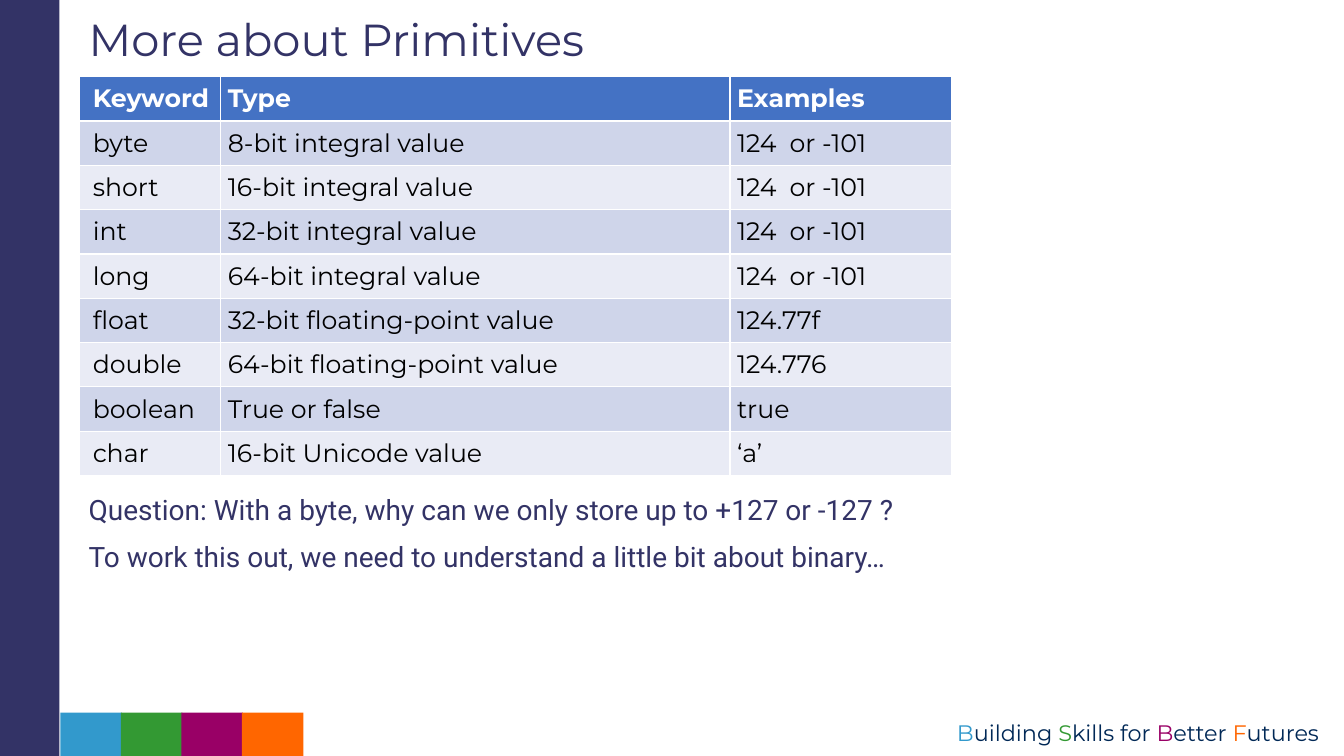
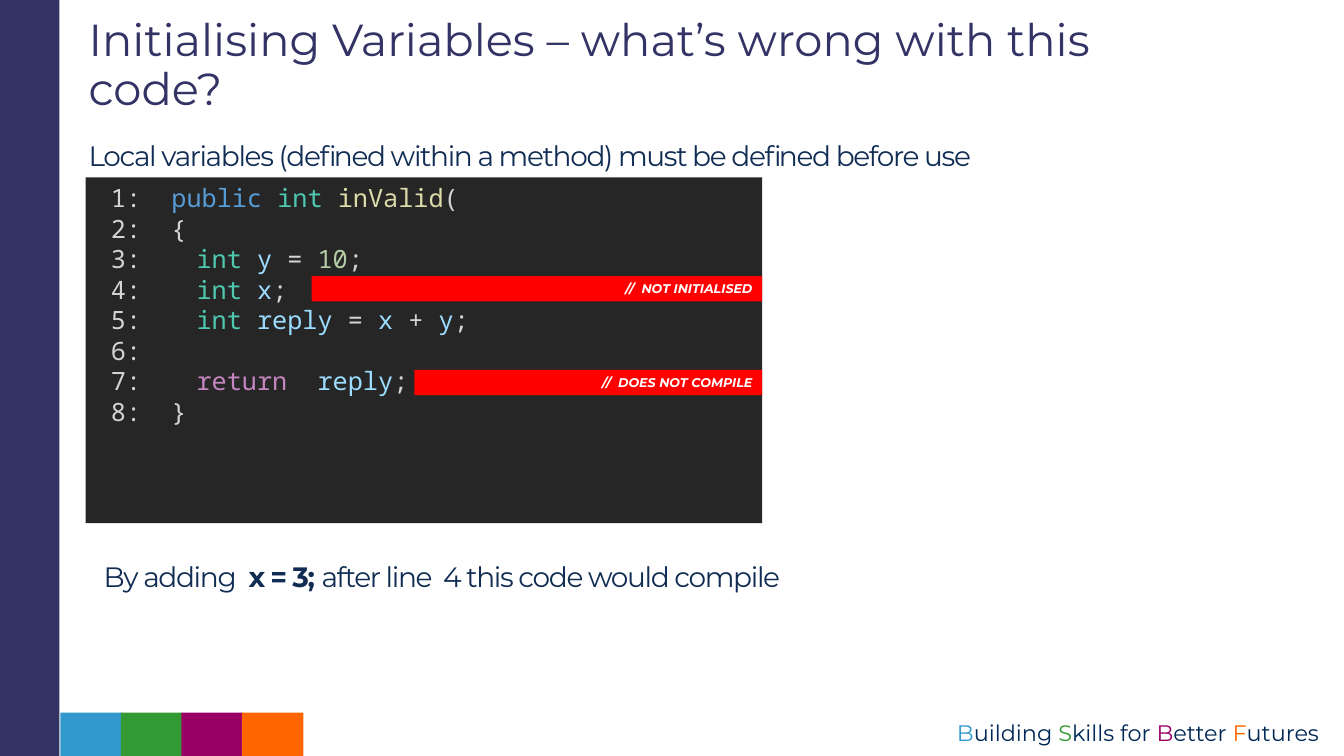
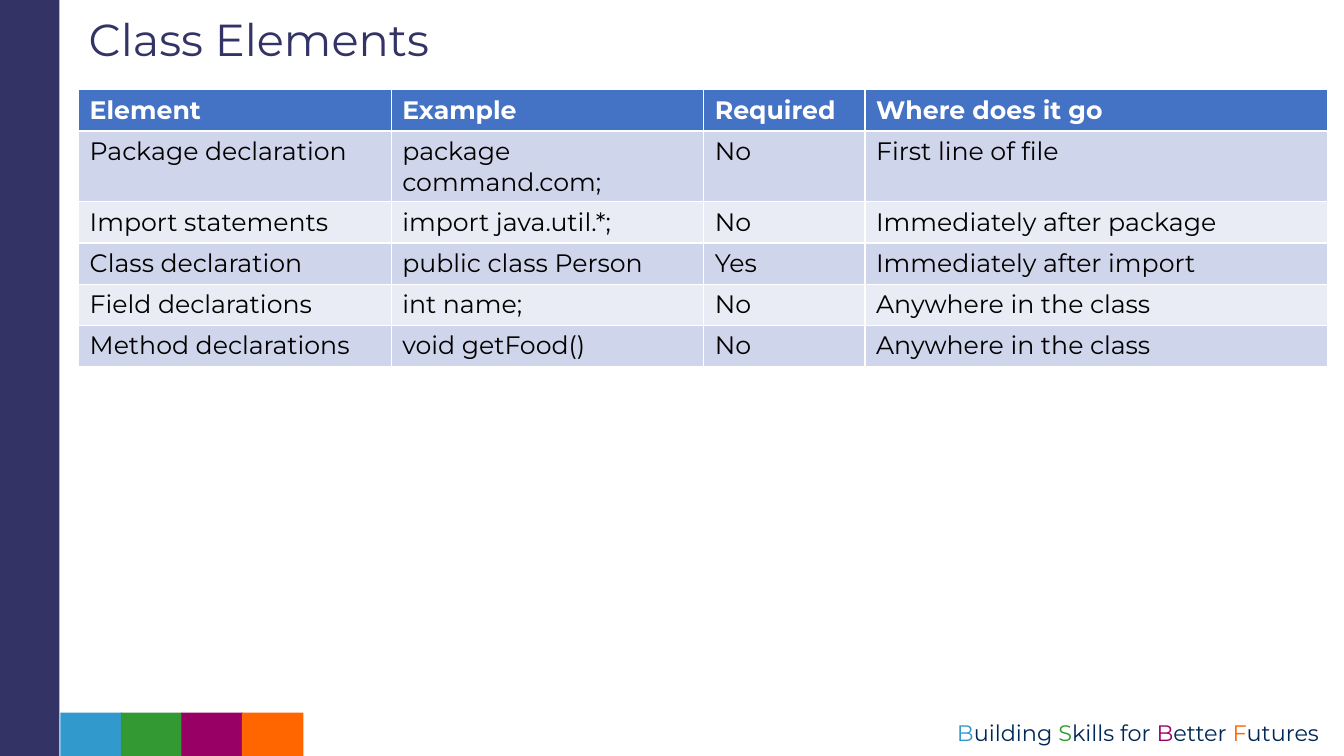
from lxml.etree import SubElement as Sub
from pptx import Presentation as Deck
from pptx.dml.color import RGBColor as Rgb
from pptx.enum.shapes import MSO_SHAPE as Kind
from pptx.enum.text import MSO_ANCHOR as Anchor, PP_ALIGN as Align
from pptx.oxml.ns import qn
from pptx.util import Inches, Pt

SANS, BODY, MONO = "Montserrat", "Roboto", "Noto Sans Mono"
NAVY, INK, DARK = "333366", "112D54", "002856"
BLUE, GREEN, PLUM, ORANGE = ACCENTS = "3299CC", "339933", "990066", "FF6600"
WHITE, BLACK, RED, PANEL = "FFFFFF", "000000", "FF0000", "262626"
HEAD, BANDS = "4472C4", ("E9EBF5", "CFD5EA")
PLAIN, WORD, TYPE, FUNC = "D4D4D4", "569CD6", "4EC9B0", "DCDCAA"
NAME, NUM, FLOW = "9CDCFE", "B5CEA8", "C586C0"
TABS = 0.6, 0.85

TYPES = [
    ("Keyword", "Type", "Examples"),
    ("byte", "8-bit integral value", "124  or -101"),
    ("short", "16-bit integral value", "124  or -101"),
    ("int", "32-bit integral value", "124  or -101"),
    ("long", "64-bit integral value", "124  or -101"),
    ("float", "32-bit floating-point value", "124.77f"),
    ("double", "64-bit floating-point value", "124.776"),
    ("boolean", "True or false", "true"),
    ("char", "16-bit Unicode value", "‘a’"),
]
PARTS = [
    ("Element", "Example", "Required", "Where does it go"),
    ("Package declaration", "package command.com;", "No", "First line of file"),
    ("Import statements", "import java.util.*;", "No", "Immediately after package"),
    ("Class declaration", "public class Person", "Yes", "Immediately after import"),
    ("Field declarations", "int name;", "No", "Anywhere in the class"),
    ("Method declarations", "void getFood()", "No", "Anywhere in the class"),
]
CODE = [
    [("\tpublic ", WORD), ("int ", TYPE), ("inValid", FUNC), ("(", PLAIN)],
    [("\t{", PLAIN)],
    [("\t\tint ", TYPE), ("y", NAME), (" = ", PLAIN), ("10", NUM), (";", PLAIN)],
    [("\t\tint ", TYPE), ("x", NAME), (";", PLAIN)],
    [("\t\tint ", TYPE), ("reply", NAME), (" = ", PLAIN), ("x", NAME),
     (" + ", PLAIN), ("y", NAME), (";", PLAIN)],
    [],
    [("\t\treturn ", FLOW), (" reply", NAME), (";", PLAIN)],
    [("\t}", PLAIN)],
]
MOTTO = [("B", BLUE), ("uilding ", DARK), ("S", GREEN), ("kills for ", DARK),
         ("B", PLUM), ("etter ", DARK), ("F", ORANGE), ("utures", DARK)]


def rgb(code):
    """Turn a hex string into a colour."""
    return Rgb.from_string(code)


def style(para, size, color, face=SANS, bold=False):
    """Set the font that all runs of a paragraph share."""
    font = para.font
    font.name, font.size, font.bold = face, Pt(size), bold
    font.color.rgb = rgb(color)


def fill(para, runs):
    """Add runs given as (text, colour) pairs."""
    for words, color in runs:
        run = para.add_run()
        run.text = words
        run.font.color.rgb = rgb(color)


def rect(slide, at, color):
    """Draw a flat rectangle."""
    shape = slide.shapes.add_shape(Kind.RECTANGLE, *map(Inches, at))
    shape.shadow.inherit = False
    shape.fill.solid()
    shape.fill.fore_color.rgb = rgb(color)
    shape.line.fill.background()
    return shape


def label(slide, at, lines, size=20, color=INK, face=SANS):
    """Add a text box with one paragraph per line and return the paragraphs."""
    frame = slide.shapes.add_textbox(*map(Inches, at)).text_frame
    frame.word_wrap = True
    for num, line in enumerate(lines):
        para = frame.add_paragraph() if num else frame.paragraphs[0]
        para.text = line
        style(para, size, color, face)
    return frame.paragraphs


def tight(para):
    """Draw the letters of a paragraph one point closer."""
    para._p.get_or_add_pPr().get_or_add_defRPr().set("spc", "-100")


def page(deck, title):
    """Add a slide with the side band, colour squares, motto and title."""
    slide = deck.slides.add_slide(deck.slide_layouts[6])
    rect(slide, (-0.09, -0.06, 0.68, 7.63), NAVY)
    for num, color in enumerate(ACCENTS):
        rect(slide, (0.6 + num * 0.6, 7.07, 0.61, 0.44), color)
    motto, = label(slide, (8.36, 7.09, 4.82, 0.37), [""], 16, DARK)
    motto.alignment = Align.RIGHT
    fill(motto, MOTTO)
    head, = label(slide, (0.78, 0.13, 10.35, 0.63), [title], 32, NAVY)
    head.line_spacing = 0.9
    return slide


def grid(slide, left, top, cols, high, rows, pads, first):
    """Add a banded table; first is the left inset of the first column."""
    table = slide.shapes.add_table(
        len(rows), len(cols), Inches(left), Inches(top),
        Inches(sum(cols)), Inches(high * len(rows))).table
    for col, wide in zip(table.columns, cols):
        col.width = Inches(wide)
    for row, words in enumerate(rows):
        for col, word in enumerate(words):
            cell = table.cell(row, col)
            side, over, under = map(Inches, pads)
            cell.margin_left = side if col else Inches(first)
            cell.margin_right = side
            cell.margin_top, cell.margin_bottom = over, under
            cell.fill.solid()
            cell.fill.fore_color.rgb = rgb(BANDS[row % 2] if row else HEAD)
            cell.text = word
            para = cell.text_frame.paragraphs[0]
            style(para, 18, BLACK if row else WHITE, bold=not row)


def code(slide, at, lines):
    """Draw a dark panel of numbered code lines."""
    frame = rect(slide, at, PANEL).text_frame
    frame.vertical_anchor = Anchor.TOP
    frame.margin_left = Inches(0.25)
    for num, runs in enumerate(lines):
        para = frame.add_paragraph() if num else frame.paragraphs[0]
        para.alignment = Align.LEFT
        para.line_spacing = Pt(21.8)
        style(para, 18, PLAIN, MONO)
        props = para._p.get_or_add_pPr()
        stops = Sub(props, qn("a:tabLst"))
        props.remove(stops)
        props.insert(list(props).index(props.find(qn("a:defRPr"))), stops)
        for place in TABS:
            Sub(stops, qn("a:tab"), pos=str(Inches(place)), algn="l")
        fill(para, [(f"{num + 1}:", PLAIN), *runs])


def flag(slide, left, top, right, words):
    """Draw a red strip with a comment at its right end."""
    shape = rect(slide, (left, top, right - left, 0.25), RED)
    para = shape.text_frame.paragraphs[0]
    para.text = words
    para.alignment = Align.RIGHT
    style(para, 9, WHITE, bold=True)
    para.font.italic = True


def types(deck):
    """Build the slide on primitive types."""
    slide = page(deck, "More about Primitives")
    for para in label(slide, (0.78, 4.79, 12.39, 2.05), [
            "Question: With a byte, why can we only store up to +127 or -127 ?",
            "To work this out, we need to understand a little bit about binary…",
            ], 20, NAVY, BODY):
        para.line_spacing = 1.14
        para.space_after = Pt(6)
    grid(slide, 0.79, 0.76, (1.4, 5.05, 2.2), 0.44, TYPES,
         (0.07, 0.07, 0.06), 0.13)


def faults(deck):
    """Build the slide on uninitialised variables."""
    slide = page(deck, "Initialising Variables – what’s wrong with this code?")
    note, = label(slide, (0.93, 5.5, 9.81, 0.67), [""])
    fill(note, [("By adding  ", INK), ("x = 3; ", INK),
                ("after line  4 this code would compile", INK)])
    note.runs[1].font.bold = True
    rule, = label(slide, (0.78, 1.33, 10.77, 0.44), [
        "Local variables (defined within a method) must be defined before use"])
    for para in (note, rule):
        tight(para)
    code(slide, (0.85, 1.76, 6.71, 3.43), CODE)
    flag(slide, 3.09, 2.74, 7.56, "//  NOT INITIALISED")
    flag(slide, 4.11, 3.67, 7.56, "//  DOES NOT COMPILE")


def parts(deck):
    """Build the slide on the elements of a class."""
    slide = page(deck, "Class Elements")
    grid(slide, 0.78, 0.89, (3.1, 3.1, 1.6, 4.59), 0.41, PARTS,
         (0.11, 0.05, 0.05), 0.11)


def main():
    """Build and save the deck."""
    deck = Deck()
    deck.slide_width, deck.slide_height = Inches(13.33), Inches(7.5)
    for build in (types, faults, parts):
        build(deck)
    deck.save("out.pptx")


if __name__ == "__main__":
    main()
